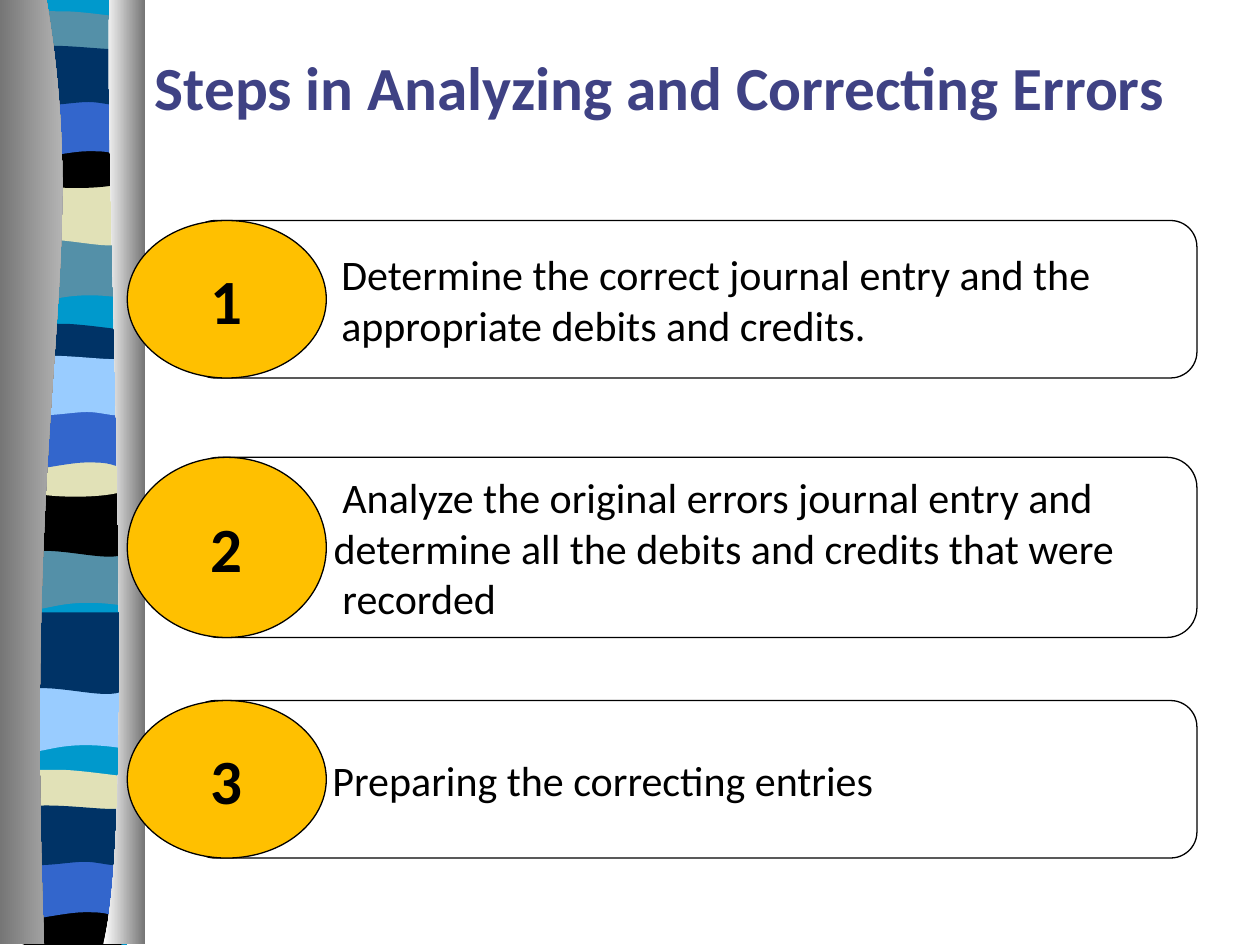
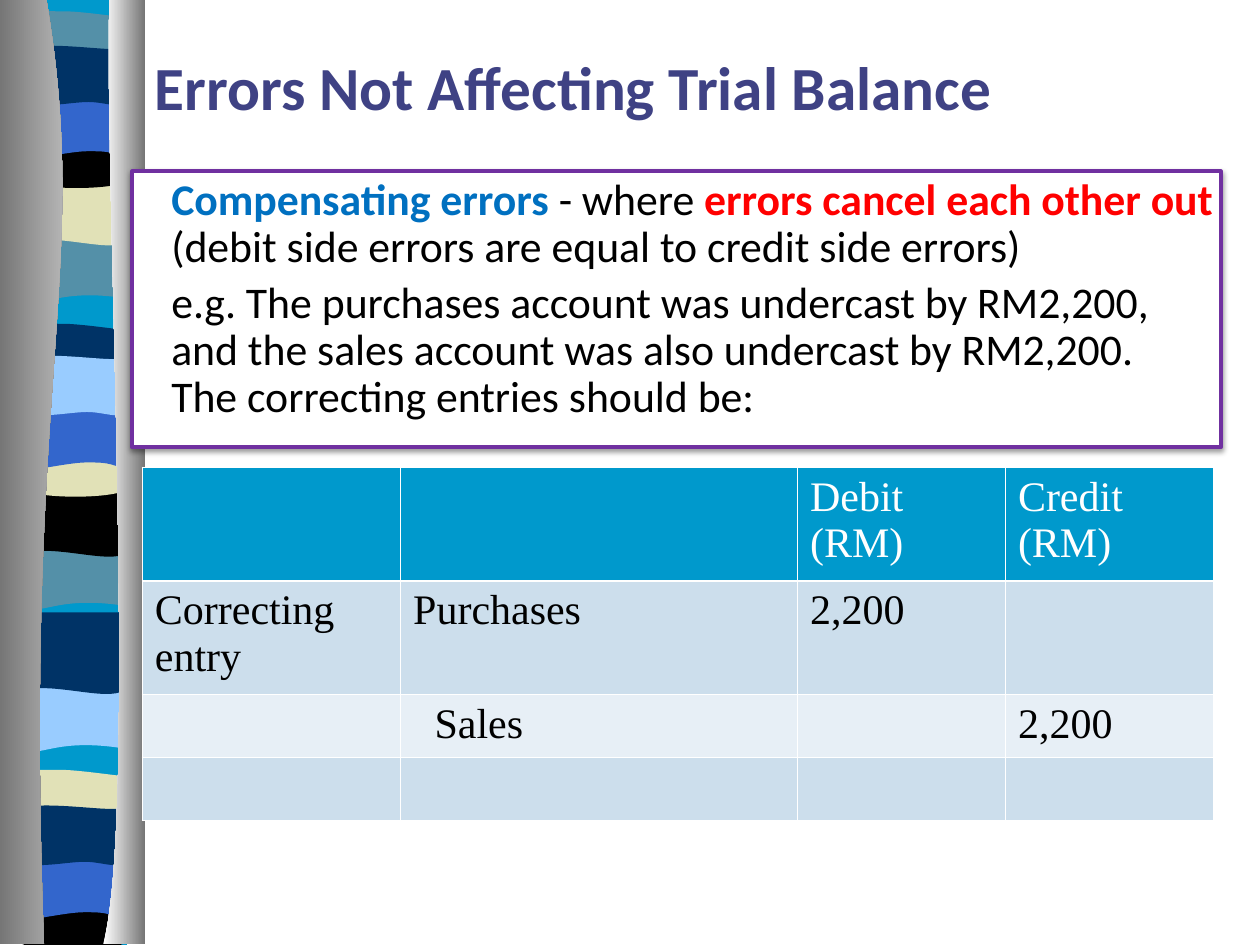
import dataclasses

import lxml.etree
import pptx
import pptx.dml.color
import pptx.enum.shapes
import pptx.enum.text
import pptx.oxml
import pptx.oxml.ns
import pptx.util

Inches = pptx.util.Inches
Pt = pptx.util.Pt
MIDDLE = pptx.enum.text.MSO_ANCHOR.MIDDLE
TOP = pptx.enum.text.MSO_ANCHOR.TOP
CENTER = pptx.enum.text.PP_ALIGN.CENTER
LEFT = pptx.enum.text.PP_ALIGN.LEFT


@dataclasses.dataclass(frozen=True)
class Theme:
    sans: str = "Calibri"
    serif: str = "Times New Roman"
    title_size: int = 35
    number_size: int = 36
    body_size: int = 24
    note_size: int = 25
    title: str = "3F4284"
    black: str = "000000"
    white: str = "FFFFFF"
    gold: str = "FFC000"
    purple: str = "7030A0"
    term: str = "0070C0"
    alert: str = "FF0000"
    grey: str = "767676"
    silver: str = "D2D2D2"
    cyan: str = "0099CC"
    teal: str = "5490A8"
    cream: str = "E1E1B7"
    blue: str = "3366CC"
    navy: str = "003366"
    sky: str = "99CCFF"
    row_dark: str = "CCDEEC"
    row_light: str = "E7EFF6"


T = Theme()

# Outlines in inches: two numbers are a point, six are a Bézier curve.
STRIPES = {
    "sag": [(.95, -.06), (.95, .53), (.39, .44, .28, .62, .14, .53),
            (.14, -.06)],
    "swell": [(.95, -.08), (.95, .54), (.82, .63, .39, .47, .14, .54),
              (.14, -.08)],
    "lens": [(.95, 0), (.95, .34), (.82, .39, .28, .39, .14, .34), (.14, 0),
             (.19, -.06, .31, -.05, .45, -.05),
             (.58, -.05, .85, -.01, .95, 0)],
    "bowl": [(.95, -.06), (.95, .37), (.82, .44, .28, .44, .14, .37),
             (.14, -.06), (.64, 0, .78, -.06, .95, -.06)],
    "arch": [(.95, -.06), (.95, .53), (.82, .47, .77, .47, .64, .47),
             (.5, .47, .26, .53, .14, .53), (.14, -.06)],
    "ribbon": [(.95, 0), (.95, .42), (.9, .48, .78, .42, .64, .42),
               (.51, .42, .22, .48, .14, .42), (.14, 0),
               (.25, -.06, .7, 0, .83, 0), (.95, 0)],
}
# Left edge of each run of stripes, then the top and colour of every stripe.
STRIPE_RUNS = [
    (.06, {"sag": (1.84, T.teal), "swell": (1.38, T.cream),
           "lens": (.14, T.teal), "bowl": (1.07, T.black),
           "arch": (.73, T.blue), "ribbon": (.39, T.navy)}),
    (.05, {"sag": (4.28, T.teal), "swell": (3.85, T.black),
           "lens": (2.62, T.navy), "bowl": (3.52, T.cream),
           "arch": (3.2, T.blue), "ribbon": (2.85, T.sky)}),
    (.03, {"sag": (5.41, T.sky), "swell": (4.94, T.navy),
           "lens": (6.16, T.cream), "bowl": (7.12, T.black),
           "arch": (6.77, T.blue), "ribbon": (6.42, T.navy)}),
]
BASE = [(.2, 0), (1.01, 0), (1.01, 7.5), (.2, 7.5)]
LEFT_FOLD = [(.37, 0), (.73, 2.16, .18, 2.96, .35, 7.49), (0, 7.49), (0, 0)]
RIGHT_FOLD = [(.87, 0), (.82, 1.25, 1.1, 6.46, .82, 7.49), (1.15, 7.49),
              (1.15, 0)]

TITLE_BOX = (1.13, .13, 8.49, 1.1)
# Box of each step, then its lines with their indents.
STEPS = [
    ((1.01, 1.75, 8.49, 1.25),
     [("Determine the correct journal entry and the", 1.05),
      ("appropriate debits and credits.", 1.05)]),
    ((1.01, 3.63, 8.49, 1.43),
     [("Analyze the original errors journal entry and", 1.05),
      ("determine all the debits and credits that were", .98),
      ("recorded", 1.05)]),
    ((1.01, 5.56, 8.49, 1.25), [("Preparing the correcting entries", .98)]),
]
NOTE = [
    [("Compensating errors ", T.term, True),
     ("- where ", T.black, False),
     ("errors cancel each other out ", T.alert, True),
     ("(debit side errors are equal to credit side errors)", T.black, False)],
    [("e.g. The purchases account was undercast by RM2,200, and the sales "
      "account was also undercast by RM2,200.  The correcting entries should "
      "be:", T.black, False)],
]
ENTRIES = [
    ["", "", "Debit (RM)", "Credit (RM)"],
    ["Correcting entry", "Purchases", "2,200", ""],
    ["", "Sales", "", "2,200"],
    ["", "", "", ""],
]


def rgb(value):
    return pptx.dml.color.RGBColor.from_string(value)


def set_all(obj, values):
    for name, value in values.items():
        setattr(obj, name, value)


def add_run(p, text, size, color, bold=False, font=T.sans):
    r = p.add_run()
    r.text = text
    set_all(r.font, {"size": Pt(size), "bold": bold, "name": font})
    r.font.color.rgb = rgb(color)


def paragraph(tf, index, indent=0):
    """Return paragraph number index, left aligned at an indent in inches."""
    p = tf.paragraphs[0] if index == 0 else tf.add_paragraph()
    p.alignment = LEFT
    p._p.get_or_add_pPr().set("marL", str(Inches(indent)))
    return p


def add_box(s, kind, box, line, width, fill=None):
    sp = s.shapes.add_shape(kind, *map(Inches, box))
    sp.shadow.inherit = False
    if fill:
        sp.fill.solid()
        sp.fill.fore_color.rgb = rgb(fill)
    else:
        sp.fill.background()
    sp.line.color.rgb = rgb(line)
    sp.line.width = Pt(width)
    set_all(sp.text_frame, {"word_wrap": True, "vertical_anchor": MIDDLE})
    return sp


def bend_curves(sp, outline):
    """Join the three lines that stand for each curve into one Bézier."""
    qn = pptx.oxml.ns.qn
    lines = iter(list(sp._element.iter(qn("a:lnTo"))))
    for seg in outline[1:]:
        line = next(lines)
        if len(seg) == 6:
            line.tag = qn("a:cubicBezTo")
            for _ in range(2):
                extra = next(lines)
                line.append(extra[0])
                extra.getparent().remove(extra)


def add_outline(s, outline, colors, x=0, y=0):
    """Draw an outline filled with one colour, or with a gradient of two."""
    points = [(Inches(x + seg[i]), Inches(y + seg[i + 1]))
              for seg in outline for i in range(0, len(seg), 2)]
    builder = s.shapes.build_freeform(*points[0])
    builder.add_line_segments(points[1:], close=False)
    sp = builder.convert_to_shape()
    bend_curves(sp, outline)
    sp.shadow.inherit = False
    sp.line.fill.background()
    if len(colors) == 1:
        sp.fill.solid()
        sp.fill.fore_color.rgb = rgb(colors[0])
    else:
        sp.fill.gradient()
        sp.fill.gradient_angle = 0
        for i, stop in enumerate(sp.fill.gradient_stops):
            stop.position = i
            stop.color.rgb = rgb(colors[i])


def add_side_band(s):
    add_outline(s, BASE, [T.cyan])
    for x, run in STRIPE_RUNS:
        for name, (y, color) in run.items():
            add_outline(s, STRIPES[name], [color], x, y)
    add_outline(s, LEFT_FOLD, [T.grey, T.silver])
    add_outline(s, RIGHT_FOLD, [T.white, T.grey])


def add_title(s, box, text):
    tf = s.shapes.add_textbox(*map(Inches, box)).text_frame
    set_all(tf, {"word_wrap": True, "vertical_anchor": MIDDLE})
    add_run(tf.paragraphs[0], text, T.title_size, T.title, True)


def add_panel(s, box, lines):
    shape = pptx.enum.shapes.MSO_SHAPE.ROUNDED_RECTANGLE
    tf = add_box(s, shape, box, T.black, .75).text_frame
    for i, (text, indent) in enumerate(lines):
        add_run(paragraph(tf, i, indent), text, T.body_size, T.black)


def add_step(s, box, number, lines):
    x, y, w, h = box
    add_panel(s, (x + .49, y, w - .49, h), lines)
    sp = add_box(s, pptx.enum.shapes.MSO_SHAPE.OVAL, (x, y, 1.58, h),
                 T.black, .75, T.gold)
    p = sp.text_frame.paragraphs[0]
    p.alignment = CENTER
    add_run(p, str(number), T.number_size, T.black, True)


def add_drop_shadow(sp):
    effects = sp._element.spPr.find(pptx.oxml.ns.qn("a:effectLst"))
    effects.append(pptx.oxml.parse_xml(
        f'<a:outerShdw {pptx.oxml.ns.nsdecls("a")} blurRad="{Pt(3.1)}" '
        f'dist="{Pt(1.6)}" dir="5400000" rotWithShape="0">'
        f'<a:srgbClr val="{T.black}"><a:alpha val="38000"/></a:srgbClr>'
        '</a:outerShdw>'))


def add_note(s, box, paragraphs):
    sp = add_box(s, pptx.enum.shapes.MSO_SHAPE.RECTANGLE, box, T.purple, 2.25,
                 T.white)
    add_drop_shadow(sp)
    tf = sp.text_frame
    set_all(tf, {"vertical_anchor": TOP, "margin_left": 0,
                 "margin_right": Inches(.02)})
    for i, runs in enumerate(paragraphs):
        p = paragraph(tf, i, .31)
        set_all(p, {"line_spacing": .9, "space_before": Pt(5 if i else 0)})
        for text, color, bold in runs:
            add_run(p, text, T.note_size, color, bold)


def add_cell_borders(cell, color, width):
    tc_pr = cell._tc.get_or_add_tcPr()
    for i, side in enumerate("LRTB"):
        ln = lxml.etree.fromstring(
            f'<a:ln{side} {pptx.oxml.ns.nsdecls("a")} w="{Pt(width)}">'
            f'<a:solidFill><a:srgbClr val="{color}"/></a:solidFill>'
            f'</a:ln{side}>')
        tc_pr.insert(i, ln)


def set_empty_size(p, size, font):
    """Give an empty paragraph the height of a line of text."""
    p._p.append(pptx.oxml.parse_xml(
        f'<a:endParaRPr {pptx.oxml.ns.nsdecls("a")} sz="{size * 100}">'
        f'<a:latin typeface="{font}"/></a:endParaRPr>'))


def add_entries(s, box, entries):
    frame = s.shapes.add_table(len(entries), len(entries[0]),
                               *map(Inches, box))
    table = frame.table
    for column, width in zip(table.columns, (2.05, 3.15, 1.65, 1.65)):
        column.width = Inches(width)
    fills = (T.cyan, T.row_dark, T.row_light, T.row_dark)
    for i, texts in enumerate(entries):
        for j, text in enumerate(texts):
            cell = table.cell(i, j)
            cell.fill.solid()
            cell.fill.fore_color.rgb = rgb(fills[i])
            add_cell_borders(cell, T.white, 1)
            p = paragraph(cell.text_frame, 0, .17 * (text == "Sales"))
            if text:
                add_run(p, text, T.body_size, T.black if i else T.white,
                        font=T.serif)
            else:
                set_empty_size(p, T.body_size, T.serif)


def add_slide(prs, title):
    s = prs.slides.add_slide(prs.slide_layouts[6])
    add_side_band(s)
    add_title(s, TITLE_BOX, title)
    return s


def main():
    prs = pptx.Presentation()
    set_all(prs, {"slide_width": Inches(10), "slide_height": Inches(7.5)})

    s = add_slide(prs, "Steps in Analyzing and Correcting Errors")
    for number, (box, lines) in enumerate(STEPS, 1):
        add_step(s, box, number, lines)

    s = add_slide(prs, "Errors Not Affecting Trial Balance")
    add_note(s, (1.05, 1.36, 8.64, 2.19), NOTE)
    add_entries(s, (1.13, 3.71, 8.5, 1.67), ENTRIES)

    prs.save("out.pptx")


if __name__ == "__main__":
    main()
